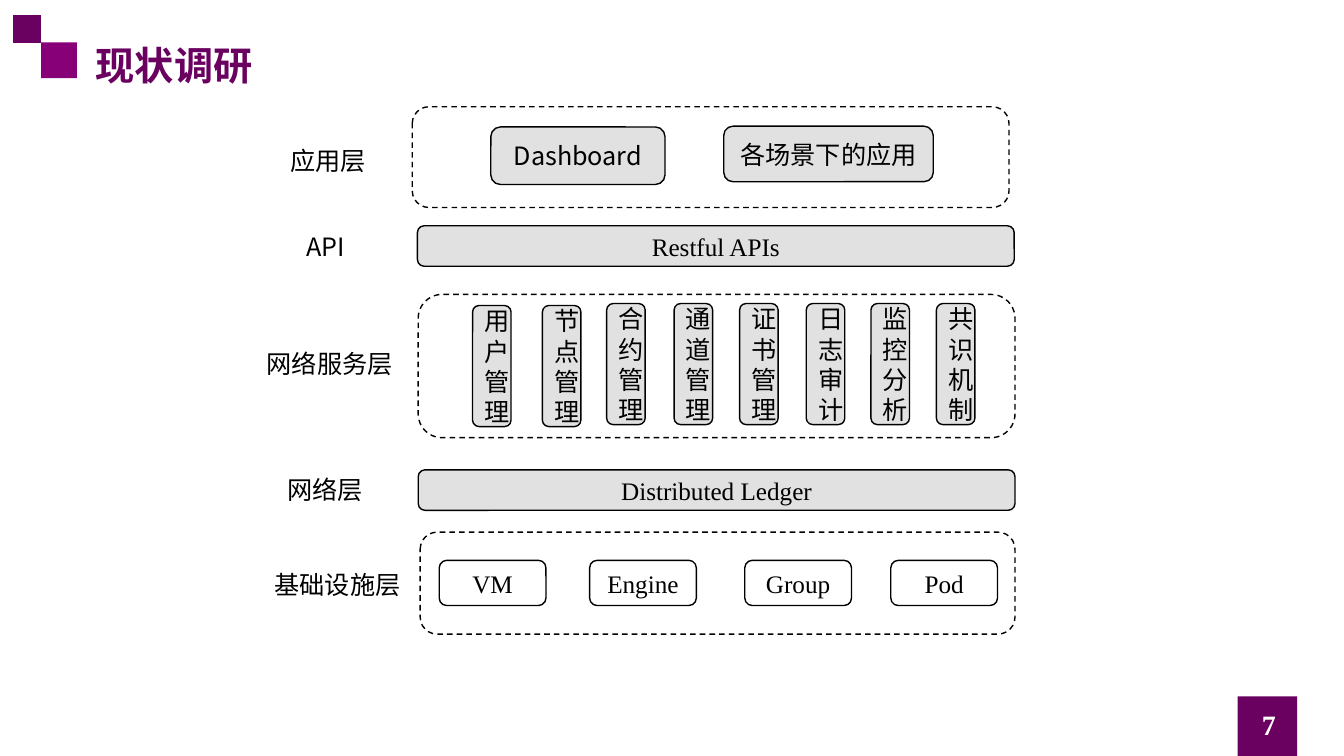
from lxml.etree import SubElement
from pptx import Presentation
from pptx.dml.color import RGBColor
from pptx.enum.dml import MSO_LINE
from pptx.enum.shapes import MSO_SHAPE as Preset
from pptx.enum.text import MSO_ANCHOR as Anchor, PP_ALIGN as Align
from pptx.oxml.ns import qn
from pptx.util import Cm, Pt

SANS = "Noto Sans CJK SC"
SERIF = "Times New Roman"
PURPLE = "6A005F"
GREY = "E1E1E1"


def write(shape, text, font=SANS, size=18, color="000000", bold=False, align=Align.CENTER):
    frame = shape.text_frame
    frame.text = text
    frame.word_wrap = True
    frame.vertical_anchor = Anchor.MIDDLE
    paragraph = frame.paragraphs[0]
    paragraph.alignment = align
    paragraph.font.name = font
    paragraph.font.size = Pt(size)
    paragraph.font.bold = bold
    paragraph.font.color.rgb = RGBColor.from_string(color)
    properties = paragraph._p.pPr.find(qn("a:defRPr"))
    SubElement(properties, qn("a:ea")).set("typeface", SANS)
    return paragraph


def add_box(left, top, width, height, fill=None, line="000000", preset=Preset.ROUNDED_RECTANGLE):
    shape = slide.shapes.add_shape(preset, Cm(left), Cm(top), Cm(width), Cm(height))
    shape.shadow.inherit = False
    if fill:
        shape.fill.solid()
        shape.fill.fore_color.rgb = RGBColor.from_string(fill)
    else:
        shape.fill.background()
    if line:
        shape.line.color.rgb = RGBColor.from_string(line)
        shape.line.width = Pt(1)
    else:
        shape.line.fill.background()
    return shape


presentation = Presentation()
presentation.slide_width = Cm(33.87)
presentation.slide_height = Cm(19.05)
slide = presentation.slides.add_slide(presentation.slide_layouts[5])

for left, top, side, color in [
    (1.04, 1.07, 0.9, "870078"),
    (0.33, 0.38, 0.7, PURPLE),
    (31.19, 17.55, 1.5, PURPLE),
]:
    add_box(left, top, side, side, color, None, Preset.RECTANGLE)

title = slide.shapes.title
title.left, title.top, title.width, title.height = Cm(2.16), Cm(0.91), Cm(4.7), Cm(1.45)
write(title, "现状调研", SERIF, 28, PURPLE, True, Align.LEFT)

page_number = slide.shapes.add_textbox(Cm(30.53), Cm(17.75), Cm(2.9), Cm(1.02))
write(page_number, "7", SERIF, 20, "FFFFFF", True)

for text, left, top, width in [
    ("应用层", 7.06, 3.53, 2.8),
    ("API", 7.47, 5.69, 2),
    ("网络服务层", 6.47, 8.66, 3.9),
    ("网络层", 6.99, 11.82, 2.8),
    ("基础设施层", 6.67, 14.22, 3.9),
]:
    label = slide.shapes.add_textbox(Cm(left), Cm(top), Cm(width), Cm(1.02))
    write(label, text, align=Align.LEFT)

for left, top, width, height in [
    (10.39, 2.69, 15.04, 2.54),
    (10.54, 7.42, 15.04, 3.61),
    (10.59, 13.41, 14.99, 2.57),
]:
    add_box(left, top, width, height).line.dash_style = MSO_LINE.DASH

write(add_box(12.37, 3.2, 4.39, 1.45, GREY), "Dashboard")
write(add_box(18.24, 3.18, 5.28, 1.4, GREY), "各场景下的应用")

for text, left, top in [("Restful APIs", 10.52, 5.69), ("Distributed Ledger", 10.54, 11.84)]:
    write(add_box(left, top, 15.04, 1.02, GREY), text, SERIF)

for text, left, top in [
    ("用户管理", 11.91, 7.7),
    ("节点管理", 13.67, 7.7),
    ("合约管理", 15.29, 7.65),
    ("通道管理", 16.99, 7.65),
    ("证书管理", 18.64, 7.65),
    ("日志审计", 20.32, 7.65),
    ("监控分析", 21.95, 7.65),
    ("共识机制", 23.6, 7.65),
]:
    service = write(add_box(left, top, 0.97, 3.05, GREY), text)
    service.line_spacing = Pt(21.6)

for text, left in [("VM", 11.07), ("Engine", 14.86), ("Group", 18.77), ("Pod", 22.45)]:
    write(add_box(left, 14.12, 2.69, 1.14), text, SERIF)

presentation.save("out.pptx")
